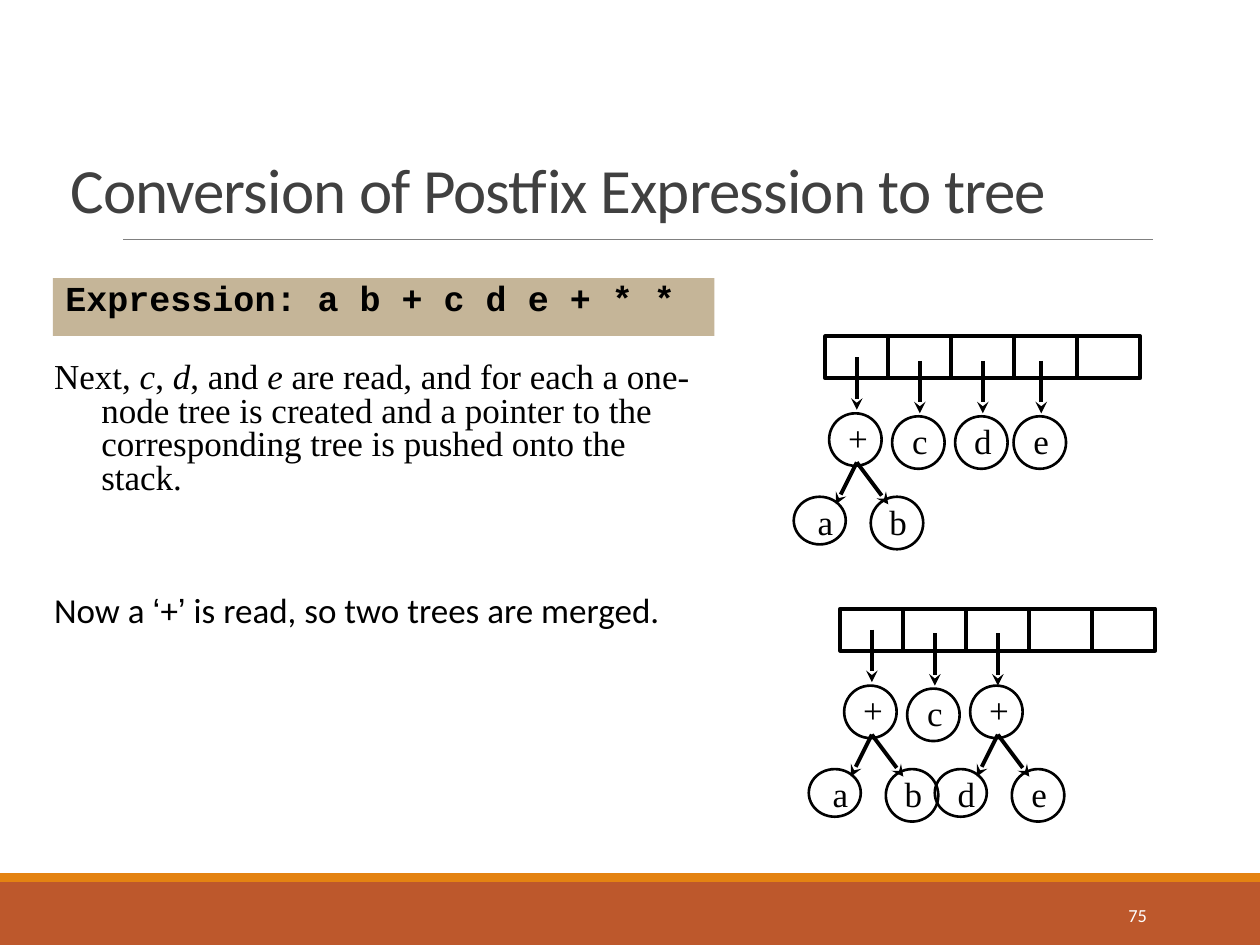
"""Build the slide on converting a postfix expression to a tree."""
from lxml.etree import SubElement
from pptx import Presentation
from pptx.dml.color import RGBColor
from pptx.enum.shapes import MSO_CONNECTOR as LINK, MSO_SHAPE as SHAPE
from pptx.enum.text import MSO_ANCHOR as ANCHOR, MSO_AUTO_SIZE as FIT, PP_ALIGN as ALIGN
from pptx.oxml.ns import qn
from pptx.util import Pt

COLORS = {"black": "000000", "title": "404040", "white": "FFFFFF", "rule": "808080",
          "rust": "BD582C", "orange": "E48312", "tan": "C5B598"}
SERIF = "Times New Roman"


def write(box, spans, color="black", size=20, align=ALIGN.LEFT, anchor=ANCHOR.TOP,
          hang=0, spacing=1.0):
    frame = box.text_frame
    frame.word_wrap, frame.auto_size, frame.vertical_anchor = True, FIT.NONE, anchor
    para = frame.paragraphs[0]
    for name, value in {"alignment": align, "line_spacing": spacing, "space_before": Pt(0)}.items():
        setattr(para, name, value)
    if hang:
        props = para._p.get_or_add_pPr()
        props.set("marL", str(Pt(hang)))
        props.set("indent", str(Pt(-hang)))
    for text, style in spans:
        span = para.add_run()
        span.text = text
        for name, value in {"size": Pt(size), "bold": False, **style}.items():
            setattr(span.font, name, value)
        span.font.color.rgb = RGBColor.from_string(COLORS[color])


def connect(start, end, color="black", weight=2.25, arrow=True):
    line = page.shapes.add_connector(LINK.STRAIGHT, *map(Pt, start + end))
    line.line.color.rgb = RGBColor.from_string(COLORS[color])
    line.line.width = Pt(weight)
    if arrow:
        SubElement(line.line._get_or_add_ln(), qn("a:tailEnd"), type="stealth")
    SubElement(line._element.spPr, qn("a:effectLst"))


deck = Presentation()
deck.slide_width, deck.slide_height = Pt(720), Pt(540)
page = deck.slides.add_slide(deck.slide_layouts[5])

panels = {}
for color, place in {"rust": (0, 504, 720, 36), "orange": (0, 499, 720, 5),
                     "tan": (30.25, 159, 378, 33)}.items():
    panel = page.shapes.add_shape(SHAPE.RECTANGLE, *map(Pt, place))
    panel.shadow.inherit = False
    panel.fill.solid()
    panel.fill.fore_color.rgb = RGBColor.from_string(COLORS[color])
    panel.line.fill.background()
    panels[color] = panel
connect((70.5, 136.8), (658.8, 136.8), "rule", 0.5, arrow=False)

title = page.shapes.title
title.left, title.top, title.width, title.height = map(Pt, (33, 18.7, 594, 114.5))
write(title, [("Conversion of Postfix Expression to tree", {"name": "Calibri"})],
      "title", 36, anchor=ANCHOR.BOTTOM, spacing=0.85)
title.text_frame.paragraphs[0].runs[0].font._element.set("spc", "-50")

write(panels["tan"], [("Expression: a b + c d e + * *", {"name": "Courier New", "bold": True})],
      hang=21.6, spacing=0.8)

number = page.shapes.add_textbox(Pt(584.6), Pt(508.3), Pt(77.8), Pt(28.8))
write(number, [("75", {"name": "Calibri"})], "white", 10.5, ALIGN.RIGHT, ANCHOR.MIDDLE)

reading = page.shapes.add_textbox(Pt(23.8), Pt(203.8), Pt(381.6), Pt(33))
phrases = ["Next, ", "c", ", ", "d", ", and ", "e",
           " are read, and for each a one-node tree is created and a pointer to the "
           "corresponding tree is pushed onto the stack."]
write(reading, [(text, {"name": SERIF, "italic": index % 2 == 1})
                for index, text in enumerate(phrases)], hang=27, spacing=0.8)

merging = page.shapes.add_textbox(Pt(23.8), Pt(332.6), Pt(612), Pt(57))
write(merging, [("Now a ", {"name": "Calibri"}), ("‘", {"name": "Arial"}),
                ("+", {"name": "Calibri"}), ("’", {"name": "Arial"}),
                (" is read, so two trees are merged.", {"name": "Calibri"})], hang=21.6)

CELL_WIDTH, CELL_HEIGHT, CELL_COUNT = 36, 24, 5
stacks = [
    (471.6, 192.2, [("+", 18, 12, 44, "ab"), ("c", 54, 14, 45.7, ""),
                    ("d", 90, 14, 45.7, ""), ("e", 123.4, 14, 45.7, "")]),
    (480.2, 347.8, [("+", 18, 12, 44, "ab"), ("c", 54, 14, 45.7, ""),
                    ("+", 90, 14, 44, "de")]),
]
for left, top, trees in stacks:
    outlines = [(SHAPE.RECTANGLE, left + CELL_WIDTH * cell, top, CELL_WIDTH, CELL_HEIGHT, 2.25)
                for cell in range(CELL_COUNT)]
    labels = []
    for root, offset, pointer_top, root_top, leaves in trees:
        x = left + offset
        connect((x, top + pointer_top), (x, top + pointer_top + 30))
        outlines.append((SHAPE.OVAL, x - 15.8, top + root_top, 30, 30, 1.5))
        labels.append((root, x - 12, top + root_top - 1.8))
        if leaves:
            for reach in (-12, 18):
                connect((x, top + 72), (x + reach, top + 96))
            outlines += [(SHAPE.OVAL, x - 36, top + 91.7, 29.7, 27.2, 1.5),
                         (SHAPE.OVAL, x + 8, top + 91.7, 30, 30, 1.5)]
            labels += [(leaves[0], x - 30, top + 90), (leaves[1], x + 11.6, top + 90)]
    for kind, *place, weight in outlines:
        outline = page.shapes.add_shape(kind, *map(Pt, place))
        outline.shadow.inherit = False
        outline.fill.background()
        outline.line.color.rgb = RGBColor.from_string(COLORS["black"])
        outline.line.width = Pt(weight)
    for letter, x, y in labels:
        label = page.shapes.add_textbox(Pt(x), Pt(y), Pt(24), Pt(28.8))
        write(label, [(letter, {"name": SERIF})], align=ALIGN.CENTER)

deck.save("out.pptx")
